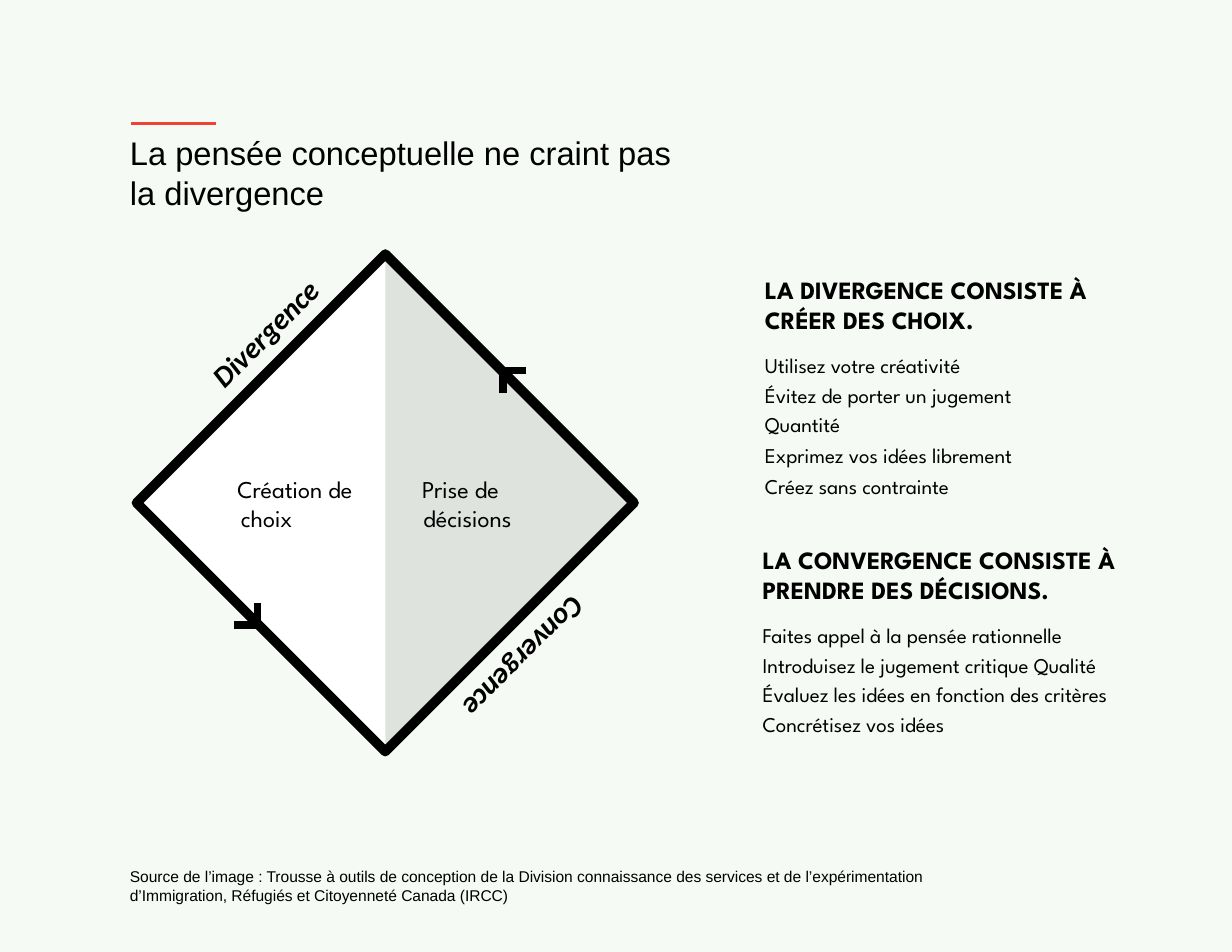
from dataclasses import dataclass

from lxml import etree
from pptx import Presentation
from pptx.dml.color import RGBColor
from pptx.enum.shapes import MSO_CONNECTOR, MSO_SHAPE
from pptx.enum.text import MSO_ANCHOR, MSO_AUTO_SIZE, PP_ALIGN
from pptx.oxml.ns import qn
from pptx.util import Inches, Pt

DIAMOND = MSO_SHAPE.DIAMOND
STRAIGHT = MSO_CONNECTOR.STRAIGHT
TOP, LEFT = MSO_ANCHOR.TOP, PP_ALIGN.LEFT
NO_AUTOFIT = MSO_AUTO_SIZE.NONE

BACKGROUND = RGBColor(0xF5, 0xFA, 0xF4)
WHITE = RGBColor(0xFF, 0xFF, 0xFF)
BLACK = RGBColor(0, 0, 0)
GREY = RGBColor(0xDE, 0xE3, 0xDE)
TEAL = RGBColor(0x76, 0xBD, 0xC5)
RED = RGBColor(0xEF, 0x41, 0x34)

SPARTAN = "League Spartan"


@dataclass
class Box:
    x: float
    y: float
    w: float
    h: float
    rotation: float = 0


@dataclass
class Label:
    text: str
    box: Box
    style: dict


@dataclass
class Group:
    """Lines that share one paragraph."""
    lines: list[str]
    spacing: float | Pt
    before: float = 0


@dataclass
class Block:
    heading: str
    box: Box
    groups: list[Group]


EDGE = dict(size=19, font="Calibri", bold=True, italic=True, spacing=Pt(19))
HALF = dict(size=15.5, font=SPARTAN, spacing=1.02)
LABELS = [
    Label("Divergence", Box(1.75, 2.8, 1.38, 0.27, 315), EDGE),
    Label("Convergence", Box(3.7, 5.83, 1.71, 0.27, 135), EDGE),
    Label("Création de choix", Box(2.1, 4.23, 1.16, 0.51),
          HALF | dict(margin=0.05, indent=-0.03)),
    Label("Prise de décisions", Box(3.77, 4.23, 1, 0.53),
          HALF | dict(margin=0.01, indent=-0.01)),
    Label("Source de l’image : Trousse à outils de conception de la Division "
          "connaissance des services et de l’expérimentation d’Immigration, "
          "Réfugiés et Citoyenneté Canada (IRCC)",
          Box(1.15, 7.74, 7.7, 0.34), dict(size=10, margin=0.01)),
]
BLOCKS = [
    Block("LA DIVERGENCE CONSISTE À CRÉER DES CHOIX.", Box(6.82, 2.45, 3.43, 1.99), [
        Group(["Utilisez votre créativité", "Évitez de porter un jugement", "Quantité"],
              1.17, 8.9),
        Group(["Exprimez vos idées librement", "Créez sans contrainte"], Pt(19.4), 0.7),
    ]),
    Block("LA CONVERGENCE CONSISTE À PRENDRE DES DÉCISIONS.", Box(6.8, 4.86, 3.44, 2.27), [
        Group(["Faites appel à la pensée rationnelle",
               "Introduisez le jugement critique Qualité"], 1.17, 8.9),
        Group(["Évaluez les idées en fonction des critères", "Concrétisez vos idées"], 1.17),
    ]),
]


def place(sp, box: Box):
    """Position a text shape and clear its insets; return its text frame."""
    sp.left, sp.top = Inches(box.x), Inches(box.y)
    sp.width, sp.height = Inches(box.w), Inches(box.h)
    sp.rotation = box.rotation
    tf = sp.text_frame
    tf.word_wrap = True
    tf.auto_size = NO_AUTOFIT
    tf.vertical_anchor = TOP
    tf.margin_left = tf.margin_right = tf.margin_top = tf.margin_bottom = 0
    return tf


def write(p, text: str, *, size: float, font: str = "Arial", bold: bool = False,
          italic: bool = False, spacing=1.0, before: float = 0,
          margin: float = 0, indent: float = 0) -> None:
    p.alignment = LEFT
    p.line_spacing = spacing
    p.space_before, p.space_after = Pt(before), Pt(0)
    pPr = p._p.get_or_add_pPr()
    pPr.set("marL", str(Inches(margin)))
    pPr.set("indent", str(Inches(indent)))
    etree.SubElement(pPr, qn("a:buNone"))
    for i, line in enumerate(text.split("\n")):
        if i:
            p.add_line_break()
        r = p.add_run()
        r.text = line
        r.font.size, r.font.name = Pt(size), font
        r.font.bold, r.font.italic = bold, italic
        r.font.color.rgb = BLACK


def paint(sp, fill: RGBColor | None = None, line: RGBColor | None = None,
          width: float = 0) -> None:
    sp.shadow.inherit = False
    if fill is None:
        sp.fill.background()
    else:
        sp.fill.solid()
        sp.fill.fore_color.rgb = fill
    if line is None:
        sp.line.fill.background()
    else:
        sp.line.color.rgb, sp.line.width = line, Pt(width)
        etree.SubElement(sp.line._get_or_add_ln(), qn("a:round"))


def add_diamond(s, x: float, y: float, side: float, **colours) -> None:
    paint(s.shapes.add_shape(DIAMOND, Inches(x), Inches(y), Inches(side), Inches(side)),
          **colours)


def add_line(s, x1: float, y1: float, x2: float, y2: float,
             colour: RGBColor, width: float) -> None:
    c = s.shapes.add_connector(STRAIGHT, Inches(x1), Inches(y1), Inches(x2), Inches(y2))
    c.line.color.rgb, c.line.width = colour, Pt(width)
    etree.SubElement(c._element.spPr, qn("a:effectLst"))


def add_arrow_corner(s, x: float, y: float, arm: float) -> None:
    """Draw two arms from a tip; a negative arm points them up and left."""
    overlap = 0.01 if arm > 0 else -0.01
    add_line(s, x, y - overlap, x, y + arm - overlap, BLACK, 4.75)
    add_line(s, x + arm, y, x, y, BLACK, 4.75)


def main() -> None:
    prs = Presentation()
    prs.slide_width, prs.slide_height = Inches(11), Inches(8.5)
    s = prs.slides.add_slide(prs.slide_layouts[3])
    s.background.fill.solid()
    s.background.fill.fore_color.rgb = BACKGROUND

    add_diamond(s, 1.21, 2.23, 4.47, fill=WHITE)
    add_diamond(s, 1.21, 2.23, 4.47, line=TEAL, width=0.39)
    builder = s.shapes.build_freeform(Inches(3.44), Inches(2.23))
    builder.add_line_segments([(Inches(3.44), Inches(6.71)), (Inches(5.68), Inches(4.47))])
    paint(builder.convert_to_shape(), fill=GREY)
    add_diamond(s, 1.22, 2.27, 4.44, line=BLACK, width=6.33)
    add_arrow_corner(s, 4.49, 3.31, 0.21)
    add_arrow_corner(s, 2.3, 5.58, -0.21)
    add_line(s, 1.17, 1.1, 1.93, 1.1, RED, 2)

    title, *bodies = s.placeholders
    write(place(title, Box(1.15, 1.19, 4.89, 0.71)).paragraphs[0],
          "La pensée conceptuelle ne craint pas la divergence", size=21, margin=0.01)
    for label in LABELS:
        sp = s.shapes.add_textbox(0, 0, 0, 0)
        write(place(sp, label.box).paragraphs[0], label.text, **label.style)
    for body, block in zip(bodies, BLOCKS):
        tf = place(body, block.box)
        write(tf.paragraphs[0], block.heading, size=16, font=SPARTAN, bold=True,
              spacing=1.01, margin=0.01)
        for group in block.groups:
            write(tf.add_paragraph(), "\n".join(group.lines), size=13.5, font=SPARTAN,
                  spacing=group.spacing, before=group.before, margin=0.01)

    prs.save("out.pptx")


if __name__ == "__main__":
    main()
